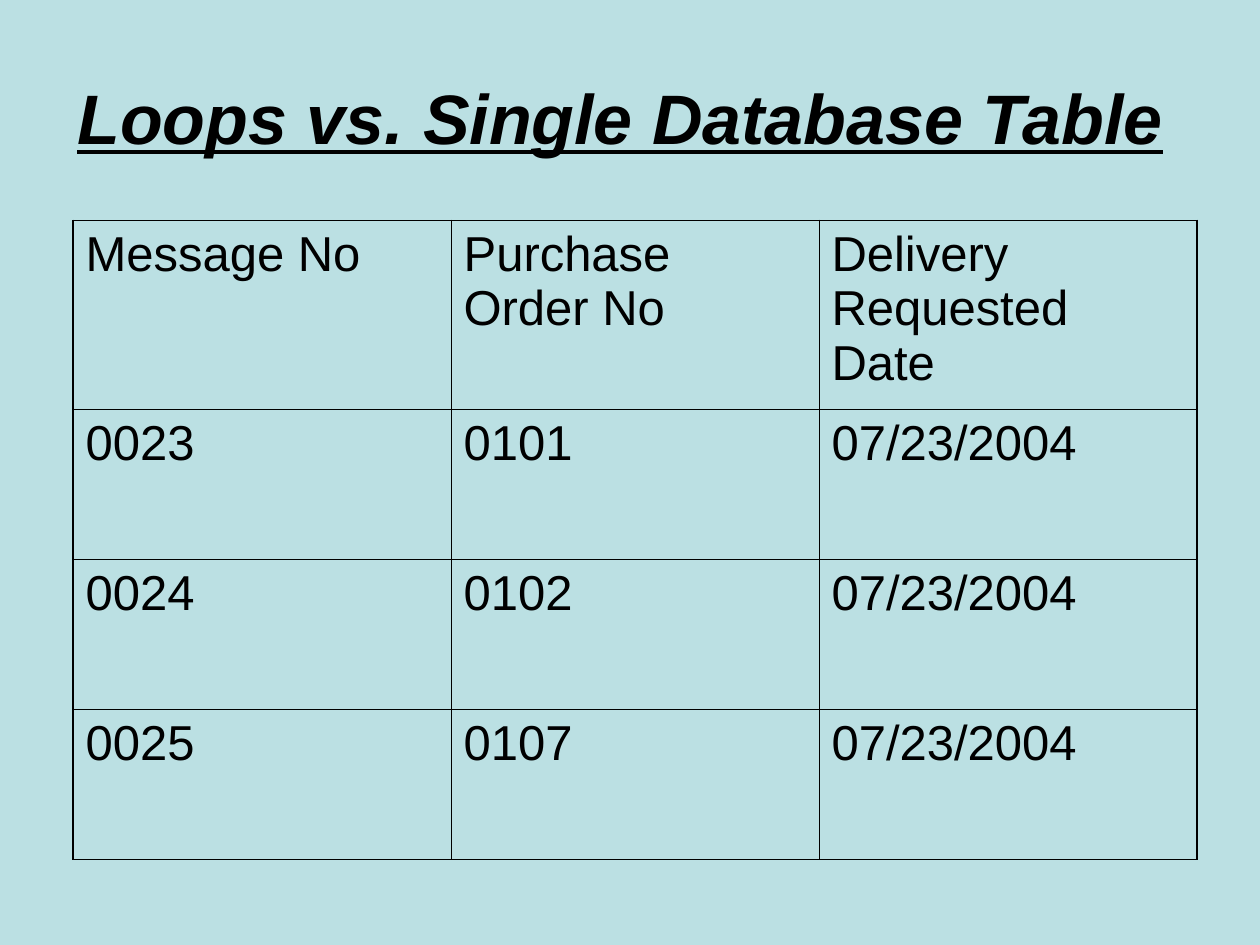
from lxml import etree
from pptx import Presentation
from pptx import util as u
from pptx.dml.color import RGBColor
from pptx.enum import text
from pptx.oxml import ns

BLACK = RGBColor(0x00, 0x00, 0x00)
PALE_TEAL = RGBColor(0xBB, 0xE0, 0xE3)
FONT = "Arial"
PAGE_WIDTH, PAGE_HEIGHT = u.Inches(10), u.Inches(7.5)
OUTER_LINE, INNER_LINE = u.Pt(1.08), u.Pt(0.45)

COLUMN_WIDTHS = (3, 2.92, 3)
ROW_HEIGHTS = (1.5, 1.19, 1.19, 1.19)
ORDERS = (
    ("Message No", "Purchase Order No", "Delivery Requested Date"),
    ("0023", "0101", "07/23/2004"),
    ("0024", "0102", "07/23/2004"),
    ("0025", "0107", "07/23/2004"),
)


def add_span(para, words, size, emphasis=False):
    """Add a run; emphasis makes it bold, italic and underlined."""
    span = para.add_run()
    span.text = words
    font = span.font
    font.name, font.size = FONT, u.Pt(size)
    font.color.rgb = BLACK
    font.bold = font.italic = font.underline = emphasis


def add_title(page, left, top, width, height):
    box = page.shapes.add_textbox(left, top, width, height)
    frame = box.text_frame
    frame.word_wrap = True
    frame.vertical_anchor = text.MSO_ANCHOR.MIDDLE
    para = frame.paragraphs[0]
    para.alignment = text.PP_ALIGN.CENTER
    add_span(para, "Loops vs. Single Database Table", size=40, emphasis=True)
    add_span(para, " ", size=40)


def set_borders(cell, widths):
    """Draw the left, right, top and bottom lines of a cell, in that order."""
    properties = cell._tc.get_or_add_tcPr()
    for position, (side, width) in enumerate(zip("LRTB", widths)):
        line = etree.Element(ns.qn(f"a:ln{side}"), w=str(int(width)))
        fill = etree.SubElement(line, ns.qn("a:solidFill"))
        etree.SubElement(fill, ns.qn("a:srgbClr"), val=str(BLACK))
        properties.insert(position, line)


def add_order_table(page, left, top, width, height):
    row_count, column_count = len(ROW_HEIGHTS), len(COLUMN_WIDTHS)
    table = page.shapes.add_table(
        row_count, column_count, left, top, width, height).table
    table.first_row = table.horz_banding = False
    for column, share in zip(table.columns, COLUMN_WIDTHS):
        column.width = int(width * share / sum(COLUMN_WIDTHS))
    for row, share in zip(table.rows, ROW_HEIGHTS):
        row.height = int(height * share / sum(ROW_HEIGHTS))

    for r, entries in enumerate(ORDERS):
        for c, entry in enumerate(entries):
            cell = table.cell(r, c)
            cell.fill.background()
            on_edge = (c == 0, c == column_count - 1,
                       r == 0, r == row_count - 1)
            set_borders(cell, [OUTER_LINE if edge else INNER_LINE
                               for edge in on_edge])
            para = cell.text_frame.paragraphs[0]
            para.space_before = u.Pt(7)
            add_span(para, entry, size=28)


def main():
    deck = Presentation()
    deck.slide_width, deck.slide_height = PAGE_WIDTH, PAGE_HEIGHT
    page = deck.slides.add_slide(deck.slide_layouts[6])
    page.background.fill.solid()
    page.background.fill.fore_color.rgb = PALE_TEAL

    add_title(page, u.Inches(0.5), u.Inches(0.3), u.Inches(9), u.Inches(1.25))
    add_order_table(page, u.Inches(0.58), u.Inches(1.75),
                    u.Inches(sum(COLUMN_WIDTHS)), u.Inches(sum(ROW_HEIGHTS)))
    deck.save("out.pptx")


if __name__ == "__main__":
    main()
